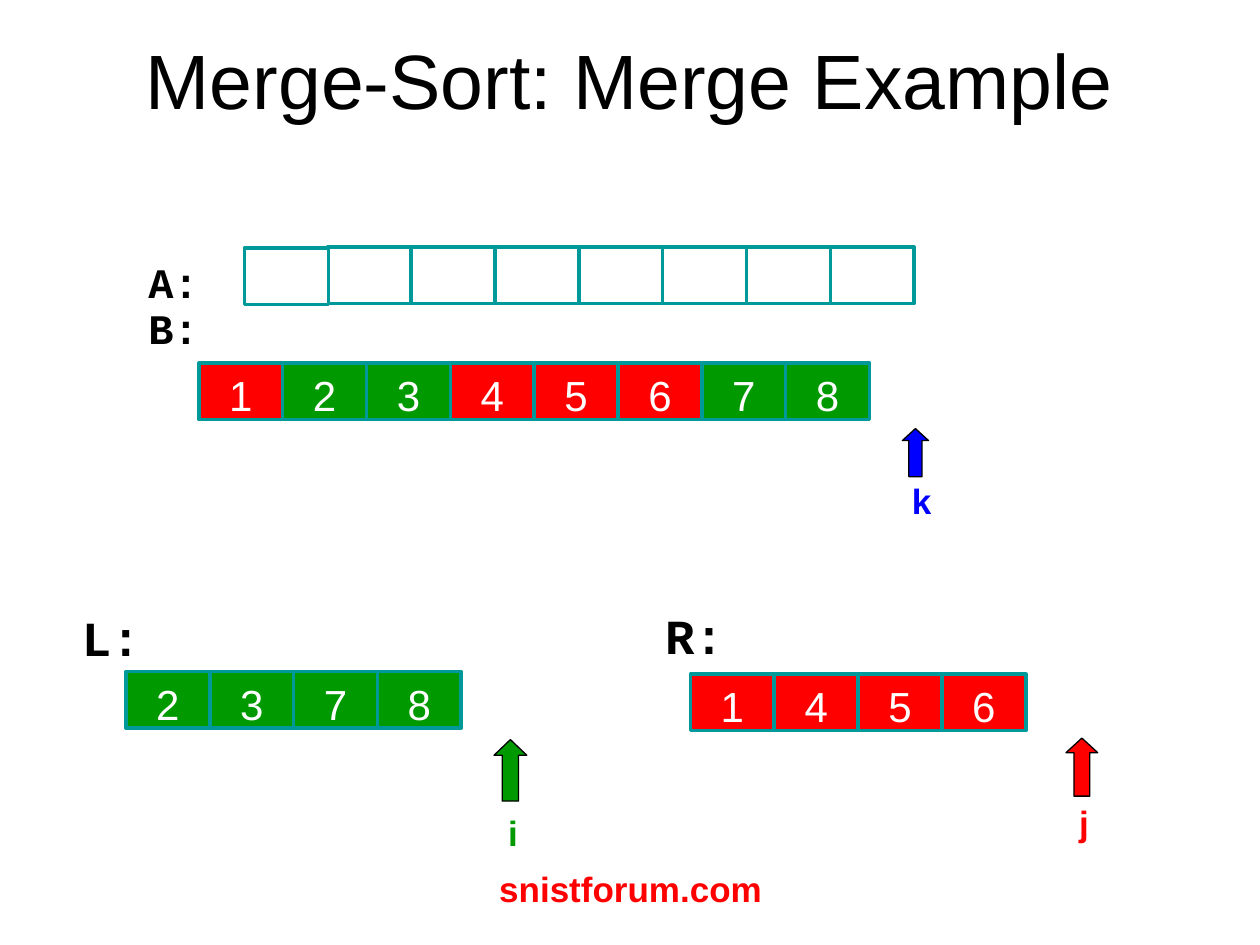
from dataclasses import dataclass

from pptx import Presentation
from pptx.dml.color import RGBColor as Rgb
from pptx.enum.shapes import MSO_SHAPE as Shape
from pptx.enum.text import MSO_ANCHOR as Anchor, PP_ALIGN as Align
from pptx.util import Cm, Pt


@dataclass(frozen=True)
class Theme:
    black: str = "000000"
    white: str = "FFFFFF"
    left: str = "009900"
    right: str = "FF0000"
    merged: str = "0000FF"
    border: str = "009999"
    sans: str = "Arial"
    mono: str = "Courier New"
    title_size: int = 44
    half_size: int = 28
    cell_size: int = 24
    note_size: int = 20


THEME = Theme()
CELL_WIDTH, CELL_HEIGHT = 1.69, 1.14  # all lengths in cm
INSET, TOP_INSET = 0.25, 0.13

TITLE = "Merge-Sort: Merge Example"
FOOTER = "snistforum.com"
LEFT_HALF = [2, 3, 7, 8]
RIGHT_HALF = [1, 4, 5, 6]

# values, left, top; None is an empty cell
ARRAYS = [
    (sorted(LEFT_HALF + RIGHT_HALF), 4.01, 7.32),
    (LEFT_HALF, 2.54, 13.54),
    (RIGHT_HALF, 13.92, 13.59),
    ([None] * 7, 6.6, 4.98),
    ([None], 4.93, 5.0),
]
# text, box, type size, side inset
ARRAY_LABELS = [
    ("A:", (2.74, 5.05, 1.75, 1.27), THEME.cell_size, INSET),
    ("B:", (2.74, 5.97, 1.75, 1.27), THEME.cell_size, INSET),
    ("L:", (1.65, 12.12, 1.19, 1.45), THEME.half_size, 0),
    ("R:", (13.41, 12.07, 1.19, 1.45), THEME.half_size, 0),
]
# name, colour, arrow box, head length, label box
POINTERS = [
    ("i", THEME.left, (9.96, 14.91, 0.66, 1.24), 0.48, (9.73, 16.23, 1.22, 1.12)),
    ("j", THEME.right, (21.49, 14.88, 0.64, 1.17), 0.46, (20.9, 16.03, 1.91, 1.12)),
    ("k", THEME.merged, (18.19, 8.64, 0.53, 0.97), 0.46, (17.55, 9.53, 2.06, 1.12)),
]


def to_cm(box):
    return [Cm(length) for length in box]


def write(shape, text, size, color, font=THEME.sans, bold=False,
          align=Align.CENTER, anchor=Anchor.TOP, side=INSET, bottom=TOP_INSET):
    frame = shape.text_frame
    frame.word_wrap = True
    frame.vertical_anchor = anchor
    frame.margin_left = frame.margin_right = Cm(side)
    frame.margin_top, frame.margin_bottom = Cm(TOP_INSET), Cm(bottom)
    para = frame.paragraphs[0]
    para.text = text
    para.alignment = align
    para.font.name, para.font.size, para.font.bold = font, Pt(size), bold
    para.font.color.rgb = Rgb.from_string(color)


def add_text(page, box, *args, **style):
    write(page.shapes.add_textbox(*to_cm(box)), *args, **style)


def add_filled(page, kind, box, fill, line, weight):
    shape = page.shapes.add_shape(kind, *to_cm(box))
    shape.shadow.inherit = False
    shape.fill.solid()
    shape.fill.fore_color.rgb = Rgb.from_string(fill)
    shape.line.color.rgb = Rgb.from_string(line)
    shape.line.width = Pt(weight)
    return shape


def cell_fill(value):
    """Colour a value by the half it comes from."""
    if value is None:
        return THEME.white
    return THEME.left if value in LEFT_HALF else THEME.right


def add_array(page, values, left, top):
    for index, value in enumerate(values):
        box = (left + index * CELL_WIDTH, top, CELL_WIDTH, CELL_HEIGHT)
        cell = add_filled(page, Shape.RECTANGLE, box, cell_fill(value), THEME.border, 2)
        if value is not None:
            write(cell, str(value), THEME.cell_size, THEME.white, bottom=0)


def add_pointer(page, name, color, arrow_box, head, label_box):
    arrow = add_filled(page, Shape.UP_ARROW, arrow_box, color, THEME.black, 0.75)
    arrow.adjustments[1] = head
    add_text(page, label_box, name, THEME.note_size, color, bold=True)


def main():
    deck = Presentation()
    deck.slide_width, deck.slide_height = Cm(25.4), Cm(19.05)
    page = deck.slides.add_slide(deck.slide_layouts[6])

    add_text(page, (1.9, 0, 21.59, 3.18), TITLE, THEME.title_size, THEME.black,
             anchor=Anchor.MIDDLE)
    for array in ARRAYS:
        add_array(page, *array)
    for text, box, size, side in ARRAY_LABELS:
        add_text(page, box, text, size, THEME.black, font=THEME.mono, bold=True,
                 align=Align.LEFT, side=side)
    for pointer in POINTERS:
        add_pointer(page, *pointer)
    add_text(page, (8.69, 17.35, 8.05, 1.32), FOOTER, THEME.note_size, THEME.right,
             bold=True)
    deck.save("out.pptx")


if __name__ == "__main__":
    main()
